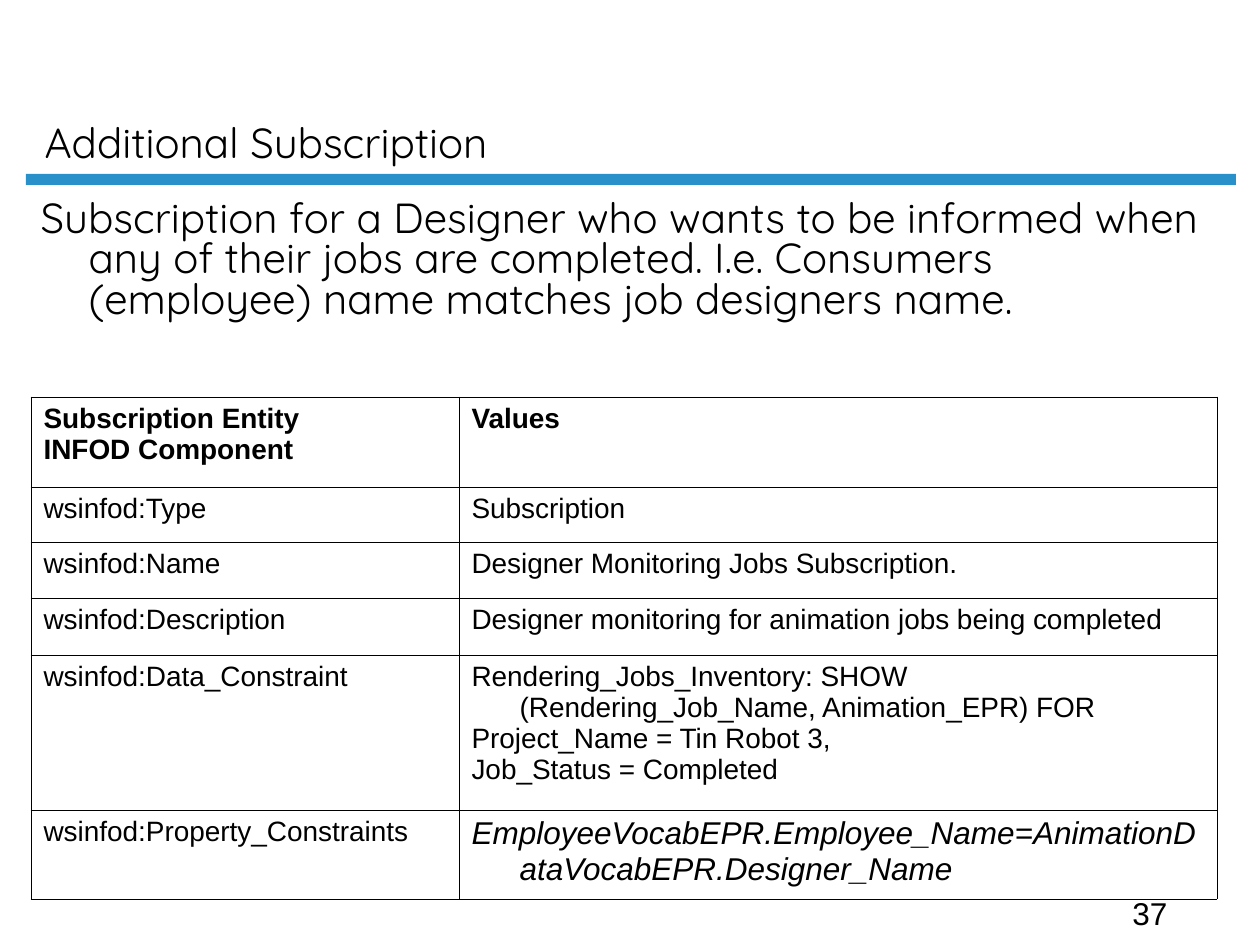
import pptx
import pptx.util
import pptx.dml.color
import pptx.enum.shapes
import pptx.enum.text
import pptx.oxml
import pptx.oxml.ns

SCALE = 914400 / 126
HUES = {"text": "000000", "bar": "2990CA", "line": "000000"}
HANG = 48
LINE = 0.45

COLS = [428, 758]
ROWS = [
    (90, "Subscription Entity\nINFOD Component", "Values"),
    (55, "wsinfod:Type", "Subscription"),
    (56, "wsinfod:Name", "Designer Monitoring Jobs Subscription."),
    (57, "wsinfod:Description",
     "Designer monitoring for animation jobs being completed"),
    (155, "wsinfod:Data_Constraint",
     "Rendering_Jobs_Inventory: SHOW (Rendering_Job_Name, Animation_EPR) FOR\n"
     "Project_Name = Tin Robot 3,\nJob_Status = Completed"),
    (89, "wsinfod:Property_Constraints",
     "EmployeeVocabEPR.Employee_Name=AnimationDataVocabEPR.Designer_Name"),
]


def emu(px):
    return pptx.util.Emu(round(px * SCALE))


def rgb(name):
    return pptx.dml.color.RGBColor.from_string(HUES[name])


def place(shape, box):
    shape.left, shape.top, shape.width, shape.height = map(emu, box)


def style(frame, face, size, bold=False, italic=False):
    for para in frame.paragraphs:
        para.alignment = pptx.enum.text.PP_ALIGN.LEFT
        for run in para.runs:
            font = run.font
            font.name, font.size = face, pptx.util.Pt(size)
            font.bold, font.italic = bold, italic
            font.color.rgb = rgb("text")


def hang(frame):
    """Outdent the first line of each paragraph."""
    for para in frame.paragraphs:
        props = para._p.get_or_add_pPr()
        props.set("marL", str(emu(HANG)))
        props.set("indent", str(emu(-HANG)))


def edge(cell):
    """Draw a thin line on all four sides of a cell."""
    props = cell._tc.get_or_add_tcPr()
    space = pptx.oxml.ns.nsdecls("a")
    for spot, side in enumerate(("lnL", "lnR", "lnT", "lnB")):
        props.insert(spot, pptx.oxml.parse_xml(
            f'<a:{side} {space} w="{pptx.util.Pt(LINE)}"><a:solidFill>'
            f'<a:srgbClr val="{HUES["line"]}"/></a:solidFill></a:{side}>'))


def add_title(slide, box):
    title = slide.shapes.title
    place(title, box)
    frame = title.text_frame
    frame.text = "Additional Subscription"
    frame.auto_size = pptx.enum.text.MSO_AUTO_SIZE.NONE
    frame.vertical_anchor = pptx.enum.text.MSO_ANCHOR.BOTTOM
    style(frame, "Quicksand", 24)


def add_bar(slide, box):
    bar = slide.shapes.add_shape(
        pptx.enum.shapes.MSO_SHAPE.RECTANGLE, *map(emu, box))
    bar.shadow.inherit = False
    bar.fill.solid()
    bar.fill.fore_color.rgb = rgb("bar")
    bar.line.fill.background()


def add_body(slide, box):
    body = slide.placeholders[1]
    place(body, box)
    frame = body.text_frame
    frame.text = (
        "Subscription for a Designer who wants to be informed when any of "
        "their jobs are completed. I.e. Consumers (employee) name matches "
        "job designers name.")
    frame.auto_size = pptx.enum.text.MSO_AUTO_SIZE.NONE
    para = frame.paragraphs[0]
    para._p.get_or_add_pPr().append(
        pptx.oxml.parse_xml(f'<a:buNone {pptx.oxml.ns.nsdecls("a")}/>'))
    para.line_spacing = 0.8
    para.space_before = pptx.util.Pt(0)
    hang(frame)
    style(frame, "Quicksand", 24)


def add_grid(slide, left, top):
    high = sum(row[0] for row in ROWS)
    grid = slide.shapes.add_table(
        len(ROWS), len(COLS), *map(emu, (left, top, sum(COLS), high))).table
    grid.first_row = grid.horz_banding = False
    for col, width in zip(grid.columns, COLS):
        col.width = emu(width)
    for r, (height, *texts) in enumerate(ROWS):
        grid.rows[r].height = emu(height)
        for c, text in enumerate(texts):
            cell = grid.cell(r, c)
            cell.fill.background()
            edge(cell)
            frame = cell.text_frame
            frame.text = text
            hang(frame)
            query = c == 1 and r == len(ROWS) - 1
            style(frame, "Arial", 18 if query else 16, r == 0, query)


def add_number(slide, box):
    frame = slide.shapes.add_textbox(*map(emu, box)).text_frame
    frame.word_wrap = True
    frame.text = "37"
    style(frame, "Arial", 18)


def main():
    deck = pptx.Presentation()
    deck.slide_width, deck.slide_height = emu(1260), emu(945)
    slide = deck.slides.add_slide(deck.slide_layouts[1])
    add_bar(slide, (26, 174, 1210, 11))
    add_number(slide, (1120, 888, 120, 50))
    add_title(slide, (32, 15, 1079, 158))
    add_grid(slide, 31, 397)
    add_body(slide, (28, 195, 1186, 136))
    deck.save("out.pptx")


if __name__ == "__main__":
    main()
